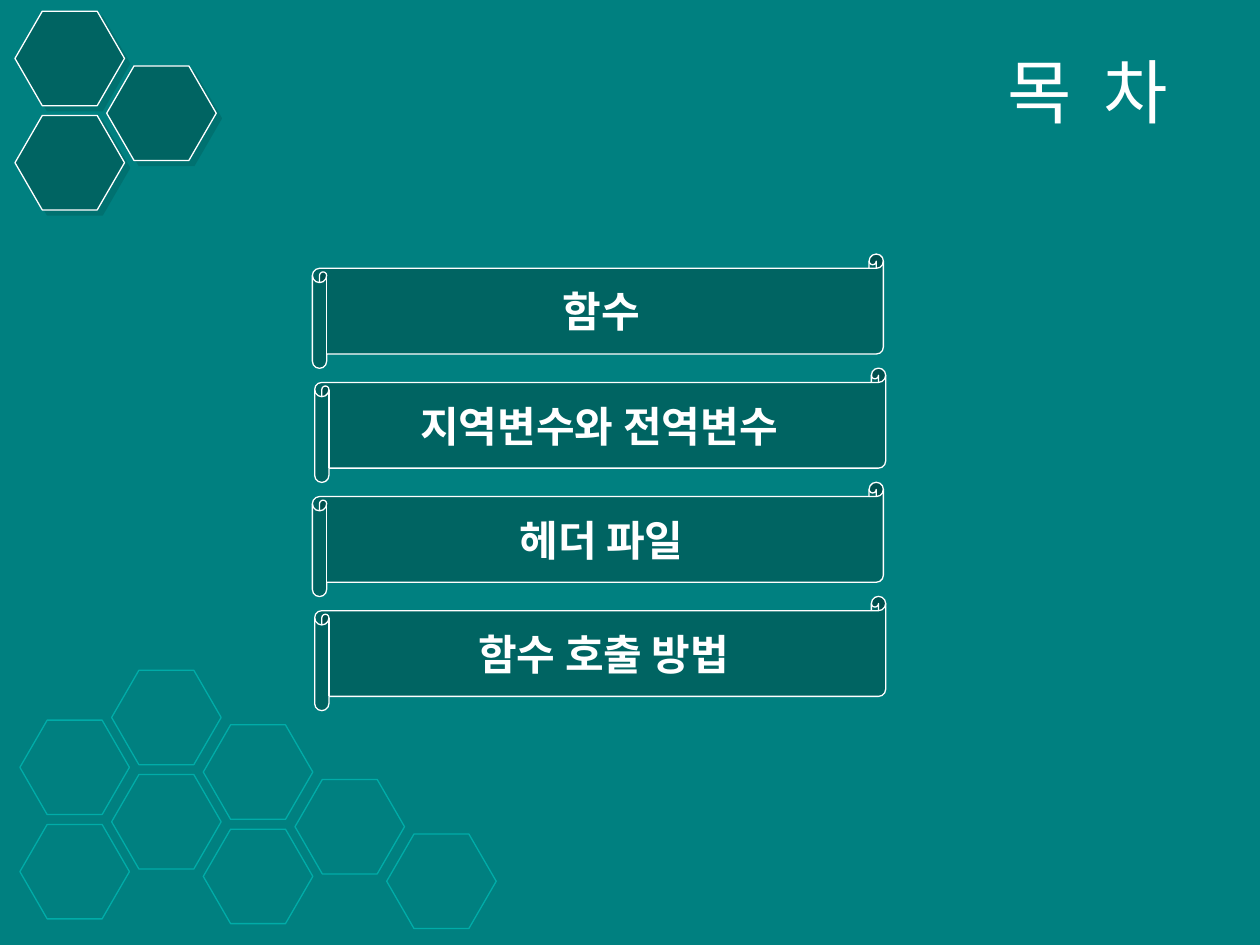
"""Build the Korean contents slide with hexagon columns and four scroll banners."""
from dataclasses import dataclass

from lxml import etree
from pptx import Presentation
from pptx.dml.color import RGBColor
from pptx.enum.shapes import MSO_SHAPE
from pptx.enum.text import MSO_ANCHOR, PP_ALIGN
from pptx.oxml.ns import qn
from pptx.util import Pt

HEXAGON = MSO_SHAPE.HEXAGON
SCROLL = MSO_SHAPE.HORIZONTAL_SCROLL
MIDDLE = MSO_ANCHOR.MIDDLE
CENTER, RIGHT = PP_ALIGN.CENTER, PP_ALIGN.RIGHT

TEAL = RGBColor(0x00, 0x80, 0x80)
DARK_TEAL = RGBColor(0x00, 0x64, 0x62)
LIGHT_TEAL = RGBColor(0x00, 0xAC, 0xA8)
WHITE = RGBColor(0xFF, 0xFF, 0xFF)
KOREAN_FONT = "Noto Sans CJK KR"

HEX_WIDTH, HEX_HEIGHT = 62.6, 54
COLUMN_PITCH, HEX_PITCH = 52.4, 59.6
SCROLL_WIDTH, SCROLL_HEIGHT = 326.3, 65.3
SCROLL_TOP, SCROLL_PITCH = 145.2, 65.2
SCROLL_LEFTS = (178.5, 179.8)
TOPICS = ("함수", "지역변수와 전역변수 ", "헤더 파일", "함수 호출 방법")


@dataclass(frozen=True)
class HexColumn:
    top: float
    count: int


OUTLINE_COLUMNS = (
    HexColumn(411.5, 2),
    HexColumn(383, 2),
    HexColumn(414.2, 2),
    HexColumn(445.4, 1),
    HexColumn(476.6, 1),
)
SOLID_COLUMNS = (HexColumn(6.4, 2), HexColumn(37.7, 1))


def add_outlined(slide, kind, left: float, top: float, width: float, height: float,
                 line: RGBColor, fill: RGBColor | None = None):
    shape = slide.shapes.add_shape(kind, Pt(left), Pt(top), Pt(width), Pt(height))
    shape.shadow.inherit = False
    shape.line.color.rgb = line
    shape.line.width = Pt(0.75)
    if fill is None:
        shape.fill.background()
    else:
        shape.fill.solid()
        shape.fill.fore_color.rgb = fill
    return shape


def add_shadow(shape, color: RGBColor) -> None:
    effects = shape._element.spPr.find(qn("a:effectLst"))
    shadow = etree.SubElement(effects, qn("a:outerShdw"), blurRad="0",
                              dist=str(Pt(4.2)), dir="2700000", algn="ctr", rotWithShape="0")
    tint = etree.SubElement(shadow, qn("a:srgbClr"), val=str(color))
    etree.SubElement(tint, qn("a:alpha"), val="50000")


def add_hexagons(slide, left: float, columns: tuple[HexColumn, ...],
                 line: RGBColor, fill: RGBColor | None = None) -> None:
    for index, column in enumerate(columns):
        for row in range(column.count):
            hexagon = add_outlined(slide, HEXAGON, left + index * COLUMN_PITCH,
                                   column.top + row * HEX_PITCH,
                                   HEX_WIDTH, HEX_HEIGHT, line, fill)
            hexagon.adjustments[0] = 0.289
            if fill is not None:
                add_shadow(hexagon, fill)


def write_text(shape, text: str, *, size: float, font: str, align, bold: bool = False) -> None:
    frame = shape.text_frame
    frame.word_wrap = True
    frame.vertical_anchor = MIDDLE
    paragraph = frame.paragraphs[0]
    paragraph.alignment = align
    run = paragraph.add_run()
    run.text = text
    run.font.size = Pt(size)
    run.font.bold = bold
    run.font.color.rgb = WHITE
    run.font.name = font
    etree.SubElement(run._r.get_or_add_rPr(), qn("a:ea"), typeface=KOREAN_FONT)


def main() -> None:
    deck = Presentation()
    deck.slide_width, deck.slide_height = Pt(720), Pt(540)
    slide = deck.slides.add_slide(deck.slide_layouts[5])
    slide.background.fill.solid()
    slide.background.fill.fore_color.rgb = TEAL

    add_hexagons(slide, 11.4, OUTLINE_COLUMNS, LIGHT_TEAL)
    add_hexagons(slide, 8.6, SOLID_COLUMNS, WHITE, DARK_TEAL)

    title = slide.shapes.title
    title.left, title.top, title.width, title.height = Pt(133.2), Pt(20.2), Pt(541.4), Pt(62.6)
    write_text(title, "목  차", size=40, font="Arial", align=RIGHT)

    for index, topic in enumerate(TOPICS):
        scroll = add_outlined(slide, SCROLL, SCROLL_LEFTS[index % 2],
                              SCROLL_TOP + index * SCROLL_PITCH,
                              SCROLL_WIDTH, SCROLL_HEIGHT, WHITE, DARK_TEAL)
        write_text(scroll, topic, size=24, font=KOREAN_FONT, align=CENTER, bold=True)

    deck.save("out.pptx")


if __name__ == "__main__":
    main()
